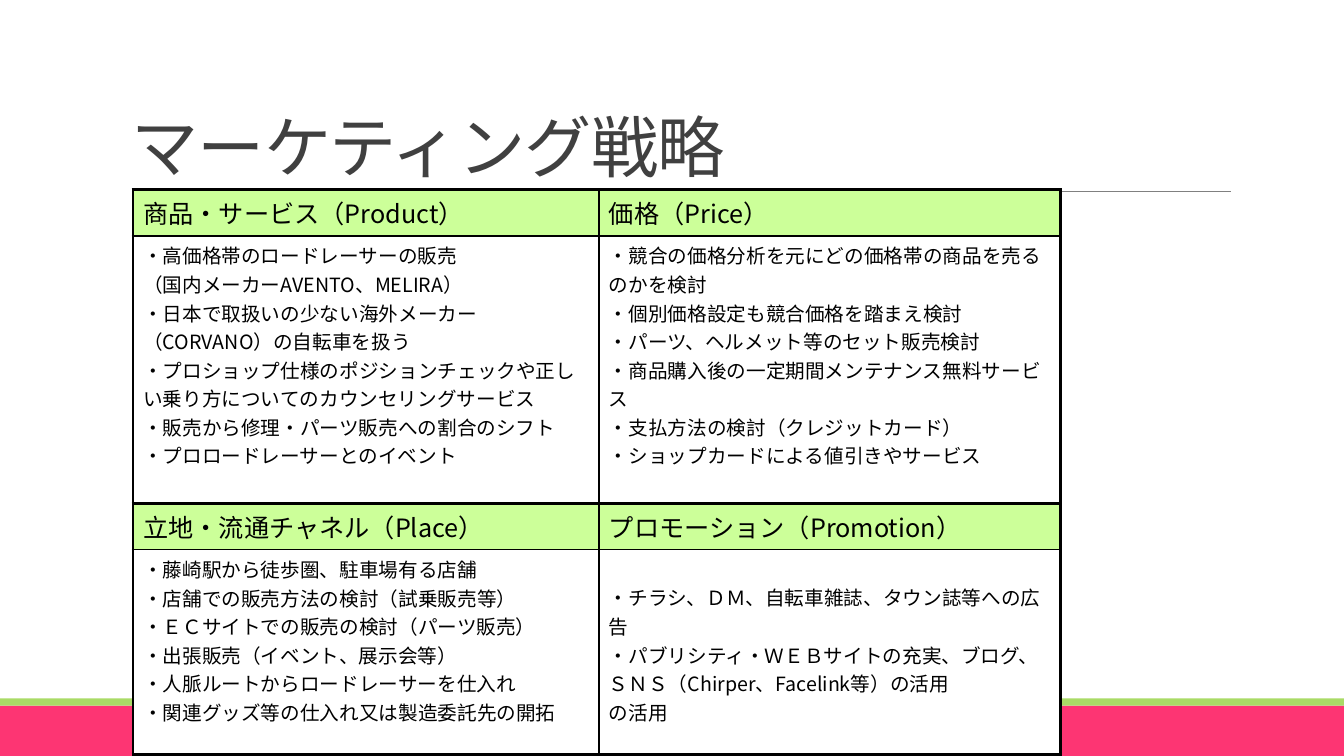
from dataclasses import dataclass

from lxml.etree import SubElement
from pptx import Presentation
from pptx.dml.color import RGBColor
from pptx.enum.shapes import MSO_CONNECTOR, MSO_SHAPE
from pptx.enum.text import MSO_ANCHOR, MSO_AUTO_SIZE, PP_ALIGN
from pptx.oxml.ns import qn
from pptx.util import Inches, Pt

TABLE_FONT = "Noto Sans CJK JP"
BLACK = "000000"
HEADING_FILL = "CCFF99"
BODY_FILL = "FFFFFF"
THICK, THIN = 2.25, 1
COLUMN_WIDTHS = (4.62, 4.58)
ROW_HEIGHTS = (0.46, 2.65, 0.46, 2.03)


@dataclass
class Band:
    top: float
    height: float
    color: str


@dataclass
class Strategy:
    heading: str
    points: list[str]
    top_margin: float = 0.05


BANDS = [Band(7, 0.5, "FD3573"), Band(6.93, 0.07, "A9DB66")]

STRATEGIES = [
    Strategy("商品・サービス（Product）", [
        "・高価格帯のロードレーサーの販売",
        "（国内メーカーAVENTO、MELIRA）",
        "・日本で取扱いの少ない海外メーカー（CORVANO）の自転車を扱う",
        "・プロショップ仕様のポジションチェックや正しい乗り方についてのカウンセリングサービス",
        "・販売から修理・パーツ販売への割合のシフト",
        "・プロロードレーサーとのイベント",
    ]),
    Strategy("価格（Price）", [
        "・競合の価格分析を元にどの価格帯の商品を売るのかを検討",
        "・個別価格設定も競合価格を踏まえ検討",
        "・パーツ、ヘルメット等のセット販売検討",
        "・商品購入後の一定期間メンテナンス無料サービス",
        "・支払方法の検討（クレジットカード）",
        "・ショップカードによる値引きやサービス",
    ]),
    Strategy("立地・流通チャネル（Place）", [
        "・藤崎駅から徒歩圏、駐車場有る店舗",
        "・店舗での販売方法の検討（試乗販売等）",
        "・ＥＣサイトでの販売の検討（パーツ販売）",
        "・出張販売（イベント、展示会等）",
        "・人脈ルートからロードレーサーを仕入れ",
        "・関連グッズ等の仕入れ又は製造委託先の開拓",
    ]),
    Strategy("プロモーション（Promotion）", [
        "・チラシ、ＤＭ、自転車雑誌、タウン誌等への広告",
        "・パブリシティ・ＷＥＢサイトの充実、ブログ、ＳＮＳ（Chirper、Facelink等）の活用",
        "の活用",
    ], top_margin=0.33),
]


def rgb(color: str) -> RGBColor:
    return RGBColor.from_string(color)


def draw_title(page, text: str) -> None:
    title = page.shapes.title
    title.left, title.top = Inches(1.2), Inches(0.31)
    title.width, title.height = Inches(11), Inches(1.59)
    frame = title.text_frame
    frame.text = text
    frame.word_wrap = True
    frame.auto_size = MSO_AUTO_SIZE.NONE
    frame.vertical_anchor = MSO_ANCHOR.BOTTOM
    para = frame.paragraphs[0]
    para.alignment = PP_ALIGN.LEFT
    para.line_spacing = 0.85
    span = para.runs[0]
    span.font.name = "Calibri"
    span.font.size = Pt(48)
    span.font.color.rgb = rgb("404040")
    span.font._element.set("spc", "-50")


def draw_band(page, band: Band, width: int) -> None:
    box = page.shapes.add_shape(
        MSO_SHAPE.RECTANGLE, 0, Inches(band.top), width, Inches(band.height))
    box.shadow.inherit = False
    box.fill.solid()
    box.fill.fore_color.rgb = rgb(band.color)
    box.line.fill.background()


def draw_title_rule(page) -> None:
    rule = page.shapes.add_connector(
        MSO_CONNECTOR.STRAIGHT, Inches(1.31), Inches(1.9), Inches(12.21), Inches(1.9))
    rule.line.color.rgb = rgb("808080")
    rule.line.width = Pt(0.5)
    SubElement(rule._element.spPr, qn("a:effectLst"))


def draw_borders(cell, top: float, bottom: float) -> None:
    properties = cell._tc.get_or_add_tcPr()
    widths = {"L": THICK, "R": THICK, "T": top, "B": bottom}
    for position, (side, width) in enumerate(widths.items()):
        border = properties.makeelement(qn(f"a:ln{side}"), {"w": str(Pt(width))})
        fill = SubElement(border, qn("a:solidFill"))
        SubElement(fill, qn("a:srgbClr"), val=BLACK)
        properties.insert(position, border)


def fill_cell(cell, lines: list[str], size: float, color: str) -> None:
    cell.fill.solid()
    cell.fill.fore_color.rgb = rgb(color)
    cell.text_frame.text = "\n".join(lines)
    for para in cell.text_frame.paragraphs:
        for span in para.runs:
            span.font.name = TABLE_FONT
            span.font.size = Pt(size)
            span.font.color.rgb = rgb(BLACK)


def draw_strategies(page, strategies: list[Strategy]) -> None:
    frame = page.shapes.add_table(
        len(ROW_HEIGHTS), len(COLUMN_WIDTHS), Inches(1.32), Inches(1.88),
        Inches(sum(COLUMN_WIDTHS)), Inches(sum(ROW_HEIGHTS)))
    table = frame.table
    table.first_row = False
    table.horz_banding = False
    for column, width in zip(table.columns, COLUMN_WIDTHS):
        column.width = Inches(width)
    for row, height in zip(table.rows, ROW_HEIGHTS):
        row.height = Inches(height)
    for index, strategy in enumerate(strategies):
        pair, column_index = divmod(index, len(COLUMN_WIDTHS))
        heading = table.cell(2 * pair, column_index)
        body = table.cell(2 * pair + 1, column_index)
        fill_cell(heading, [strategy.heading], 18, HEADING_FILL)
        draw_borders(heading, THICK, THIN)
        fill_cell(body, strategy.points, 14, BODY_FILL)
        body.margin_top = Inches(strategy.top_margin)
        draw_borders(body, THIN, THICK)


def main() -> None:
    deck = Presentation()
    deck.slide_width, deck.slide_height = Inches(13.33), Inches(7.5)
    page = deck.slides.add_slide(deck.slide_layouts[5])
    for band in BANDS:
        draw_band(page, band, deck.slide_width)
    draw_title_rule(page)
    draw_title(page, "マーケティング戦略")
    draw_strategies(page, STRATEGIES)
    deck.save("out.pptx")


if __name__ == "__main__":
    main()
